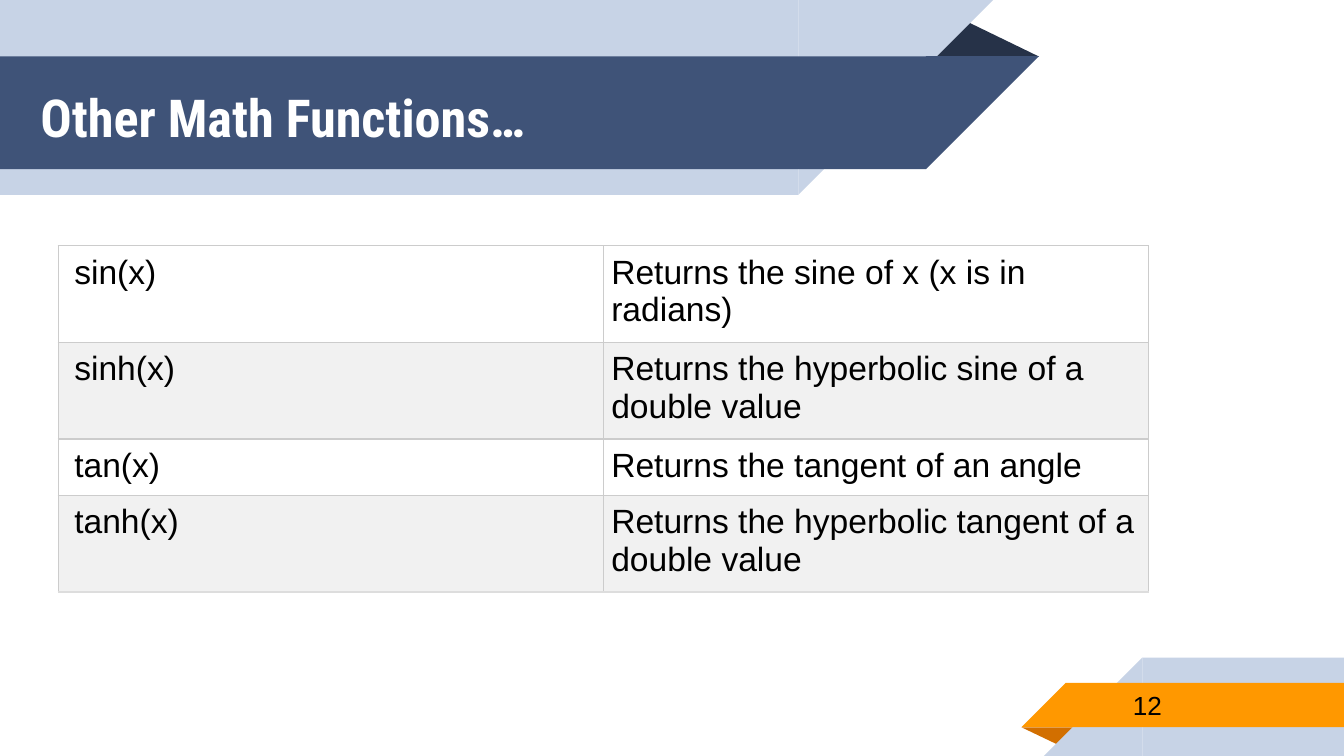
from lxml.etree import SubElement
from pptx import Presentation
from pptx.dml.color import RGBColor
from pptx.enum.shapes import MSO_SHAPE
from pptx.enum.text import MSO_ANCHOR, PP_ALIGN
from pptx.oxml.ns import qn
from pptx.util import Pt

COLORS = {
    "white": "FFFFFF", "black": "000000", "navy": "263248", "blue": "3F5378",
    "pale": "C7D3E6", "orange": "FF9800", "rust": "D26F00",
    "stripe": "F1F1F1", "border": "CCCCCC", "last_border": "DDDDDD",
}
TITLE_FONT = {"name": "Roboto Condensed", "size": Pt(28), "bold": True}
NUMBER_FONT = {"name": "Arial", "size": Pt(14)}
CELL_FONT = {"name": "Arial", "size": Pt(18)}
FRAME_FORMAT = {
    "word_wrap": True, "vertical_anchor": MSO_ANCHOR.MIDDLE,
    "margin_left": Pt(7.2), "margin_right": Pt(7.2),
    "margin_top": Pt(7.2), "margin_bottom": Pt(7.2),
}
ROWS = [
    ("sin(x)", "Returns the sine of x (x is in radians)", 49),
    ("sinh(x)", "Returns the hyperbolic sine of a double value", 49),
    ("tan(x)", "Returns the tangent of an angle", 29),
    ("tanh(x)", "Returns the hyperbolic tangent of a double value", 49),
]


def set_attrs(obj, values):
    for name, value in values.items():
        setattr(obj, name, value)


def rgb(color):
    return RGBColor.from_string(COLORS[color])


def write_text(tf, text, font, color):
    p = tf.paragraphs[0]
    p.alignment = PP_ALIGN.LEFT
    r = p.add_run()
    r.text = text
    set_attrs(r.font, font)
    r.font.color.rgb = rgb(color)


def add_plain_shape(s, kind, box, color):
    sp = s.shapes.add_shape(kind, *map(Pt, box))
    sp.shadow.inherit = False
    sp.fill.solid()
    sp.fill.fore_color.rgb = rgb(color)
    sp.line.fill.background()
    return sp


def add_fold(s, box, color, rotation=0):
    sp = add_plain_shape(s, MSO_SHAPE.ISOSCELES_TRIANGLE, box, color)
    sp.adjustments[0] = 0.32
    sp.rotation = rotation


def add_band(s, left, top, width, height, color, slant):
    add_plain_shape(s, MSO_SHAPE.RECTANGLE, (left, top, width, height), color)
    x, flip = (left + width, "flipV") if slant == "right" else (left - height, "flipH")
    sp = add_plain_shape(s, MSO_SHAPE.RIGHT_TRIANGLE, (x, top, height, height), color)
    sp.element.spPr.xfrm.set(flip, "1")


def add_title(s, text):
    sp = s.shapes.title
    set_attrs(sp, {"left": Pt(14.4), "top": Pt(32.4), "width": Pt(432.7), "height": Pt(60.5)})
    set_attrs(sp.text_frame, FRAME_FORMAT)
    write_text(sp.text_frame, text, TITLE_FONT, "white")
    s.shapes._spTree.append(sp.element)


def add_number(s, text):
    sp = s.shapes.add_textbox(Pt(599.8), Pt(365), Pt(117.4), Pt(25.2))
    set_attrs(sp.text_frame, FRAME_FORMAT)
    write_text(sp.text_frame, text, NUMBER_FONT, "black")


def set_borders(cell, bottom):
    tcPr = cell._tc.get_or_add_tcPr()
    for side in "LRTB":
        ln = SubElement(tcPr, qn(f"a:ln{side}"), w=str(Pt(0.75)))
        fill = SubElement(ln, qn("a:solidFill"))
        color = bottom if side == "B" else "border"
        SubElement(fill, qn("a:srgbClr"), val=COLORS[color])


def add_function_table(s):
    height = sum(row[-1] for row in ROWS)
    table = s.shapes.add_table(len(ROWS), 2, Pt(31.2), Pt(131.6), Pt(584), Pt(height)).table
    set_attrs(table, {"first_row": False, "horz_banding": False})
    for i, (*texts, row_height) in enumerate(ROWS):
        table.rows[i].height = Pt(row_height)
        for j, text in enumerate(texts):
            cell = table.cell(i, j)
            set_attrs(cell, {
                "margin_left": Pt(4.3 if j else 8.6), "margin_right": Pt(4.3),
                "margin_top": Pt(4.3), "margin_bottom": Pt(4.3),
            })
            set_borders(cell, "last_border" if i == len(ROWS) - 1 else "border")
            cell.fill.solid()
            cell.fill.fore_color.rgb = rgb("stripe" if i % 2 else "white")
            write_text(cell.text_frame, text, CELL_FONT, "black")


def main():
    prs = Presentation()
    set_attrs(prs, {"slide_width": Pt(720), "slide_height": Pt(405)})
    s = prs.slides.add_slide(prs.slide_layouts[5])
    add_fold(s, (495.4, 10.1, 61.2, 20.2), "navy")
    add_band(s, 0, 0, 427.7, 104.4, "pale", "right")
    add_band(s, 0, 30.2, 496.1, 60.5, "blue", "right")
    add_fold(s, (547.2, 389.6, 31, 10.1), "rust", 180)
    add_band(s, 612, 352.3, 108, 52.7, "pale", "left")
    add_band(s, 571, 365.8, 149, 23.8, "orange", "left")
    add_title(s, "Other Math Functions…")
    add_number(s, "12")
    add_function_table(s)
    prs.save("out.pptx")


if __name__ == "__main__":
    main()
